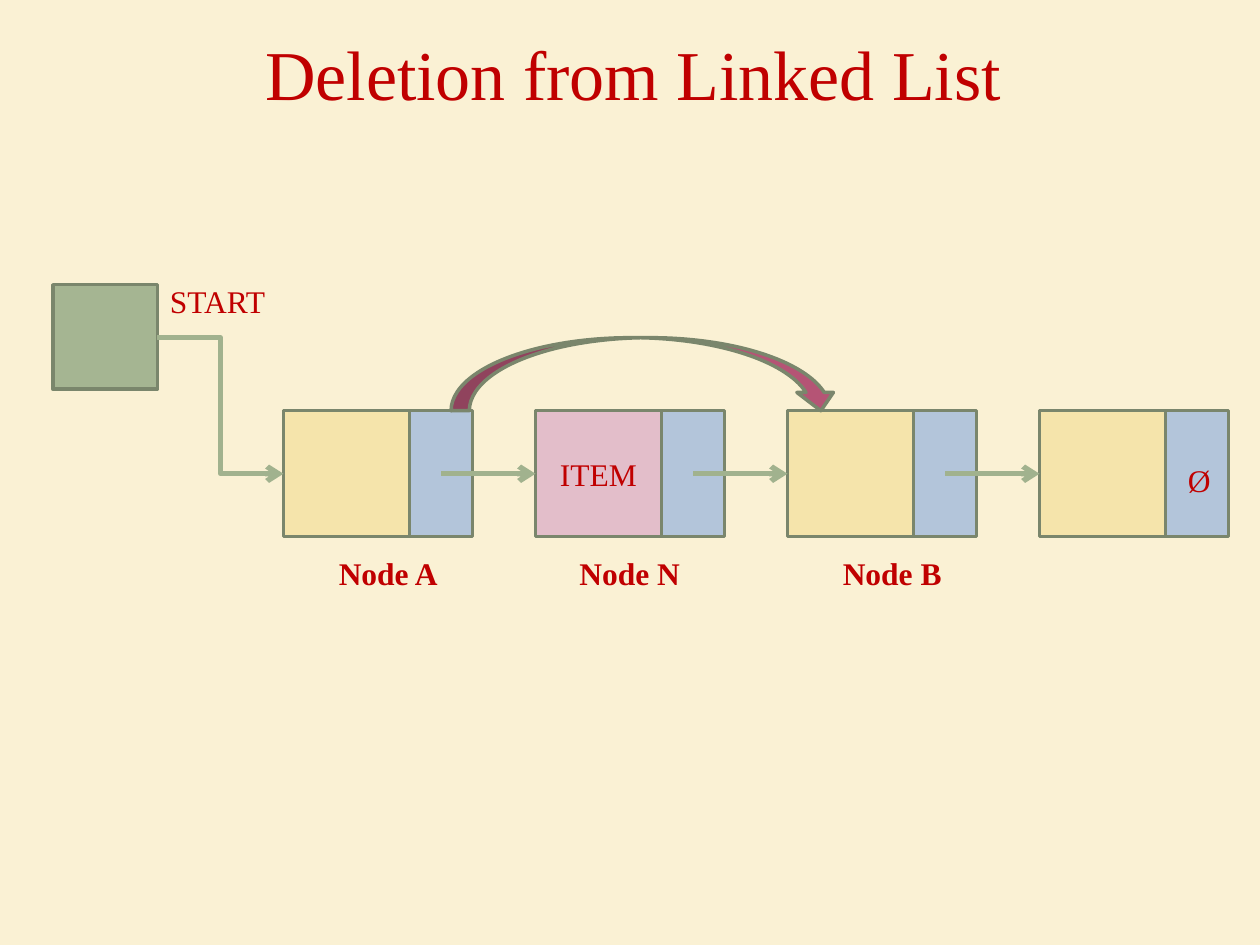
from pptx import Presentation
from pptx.dml.color import RGBColor
from pptx.enum.shapes import MSO_CONNECTOR, MSO_SHAPE
from pptx.enum.text import MSO_ANCHOR, PP_ALIGN
from pptx.oxml.ns import qn
from pptx.util import Inches, Pt
from lxml import etree

RECT = MSO_SHAPE.RECTANGLE
CURVED_ARROW = MSO_SHAPE.CURVED_DOWN_ARROW
STRAIGHT = MSO_CONNECTOR.STRAIGHT
ELBOW = MSO_CONNECTOR.ELBOW
MIDDLE = MSO_ANCHOR.MIDDLE
TOP = MSO_ANCHOR.TOP
CENTER = PP_ALIGN.CENTER
LEFT = PP_ALIGN.LEFT

CREAM = RGBColor(0xFA, 0xF1, 0xD4)
RED = RGBColor(0xC0, 0x00, 0x00)
GREEN = RGBColor(0xA5, 0xB5, 0x92)
LINK_GREEN = RGBColor(0xA1, 0xB2, 0x8E)
OUTLINE = RGBColor(0x7A, 0x86, 0x6C)
YELLOW = RGBColor(0xF5, 0xE4, 0xAB)
BLUE = RGBColor(0xB3, 0xC5, 0xDA)
PINK = RGBColor(0xE3, 0xBE, 0xCA)
ROSE = RGBColor(0xB5, 0x54, 0x75)

NODE_X, NODE_Y, NODE_STEP = 2.25, 3.26, 2
DATA_W, POINTER_W, NODE_H = 1, 0.5, 1
LINK_Y = NODE_Y + NODE_H / 2


def write(tf, text, size=18, bold=False, align=LEFT, anchor=TOP, wrap=False):
    tf.word_wrap = wrap
    tf.vertical_anchor = anchor
    p = tf.paragraphs[0]
    p.alignment = align
    r = p.add_run()
    r.text = text
    r.font.name = "Times New Roman"
    r.font.size = Pt(size)
    r.font.bold = bold
    r.font.color.rgb = RED


class Diagram:
    def __init__(self, slide):
        self.s = slide
        self.s.background.fill.solid()
        self.s.background.fill.fore_color.rgb = CREAM

    def text(self, text, x, y, w, h=0.4, **style):
        box = self.s.shapes.add_textbox(Inches(x), Inches(y), Inches(w), Inches(h))
        write(box.text_frame, text, **style)

    def shape(self, x, y, w, h, color, kind=RECT, text=None):
        sp = self.s.shapes.add_shape(kind, Inches(x), Inches(y), Inches(w), Inches(h))
        sp.shadow.inherit = False
        sp.fill.solid()
        sp.fill.fore_color.rgb = color
        sp.line.color.rgb = OUTLINE
        sp.line.width = Pt(2)
        if text:
            write(sp.text_frame, text, align=CENTER, anchor=MIDDLE, wrap=True)

    def arrow(self, x1, y1, x2, y2, kind=STRAIGHT):
        c = self.s.shapes.add_connector(kind, Inches(x1), Inches(y1), Inches(x2), Inches(y2))
        c.line.color.rgb = LINK_GREEN
        c.line.width = Pt(3)
        etree.SubElement(c.line._get_or_add_ln(), qn("a:tailEnd"), type="arrow")
        etree.SubElement(c._element.spPr, qn("a:effectLst"))

    def node(self, x, color, text=None):
        self.shape(x, NODE_Y, DATA_W, NODE_H, color, text=text)
        self.shape(x + DATA_W, NODE_Y, POINTER_W, NODE_H, BLUE)


def main():
    prs = Presentation()
    prs.slide_width = Inches(10)
    prs.slide_height = Inches(7.5)
    d = Diagram(prs.slides.add_slide(prs.slide_layouts[6]))

    d.text("Deletion from Linked List", 0.55, 0, 8.95, 1.15,
           size=40, align=CENTER, anchor=MIDDLE, wrap=True)
    d.shape(0.42, 2.26, 0.83, 0.83, GREEN)
    d.text("START", 1.25, 2.19, 0.97)

    nodes = [(YELLOW, None), (PINK, "ITEM"), (YELLOW, None), (YELLOW, None)]
    xs = [NODE_X + i * NODE_STEP for i in range(len(nodes))]
    for x, (color, text) in zip(xs, nodes):
        d.node(x, color, text)
    d.arrow(1.25, 2.68, NODE_X, LINK_Y, ELBOW)
    for x, next_x in zip(xs, xs[1:]):
        d.arrow(x + DATA_W + POINTER_W / 2, LINK_Y, next_x, LINK_Y)

    d.text("Ø", 9.33, 3.61, 0.38)
    d.shape(3.58, 2.68, 3.08, 0.58, ROSE, CURVED_ARROW)
    for text, x, w in [("Node A", 2.59, 0.99), ("Node N", 4.5, 1.01), ("Node B", 6.59, 0.99)]:
        d.text(text, x, 4.35, w, bold=True)

    prs.save("out.pptx")


if __name__ == "__main__":
    main()
